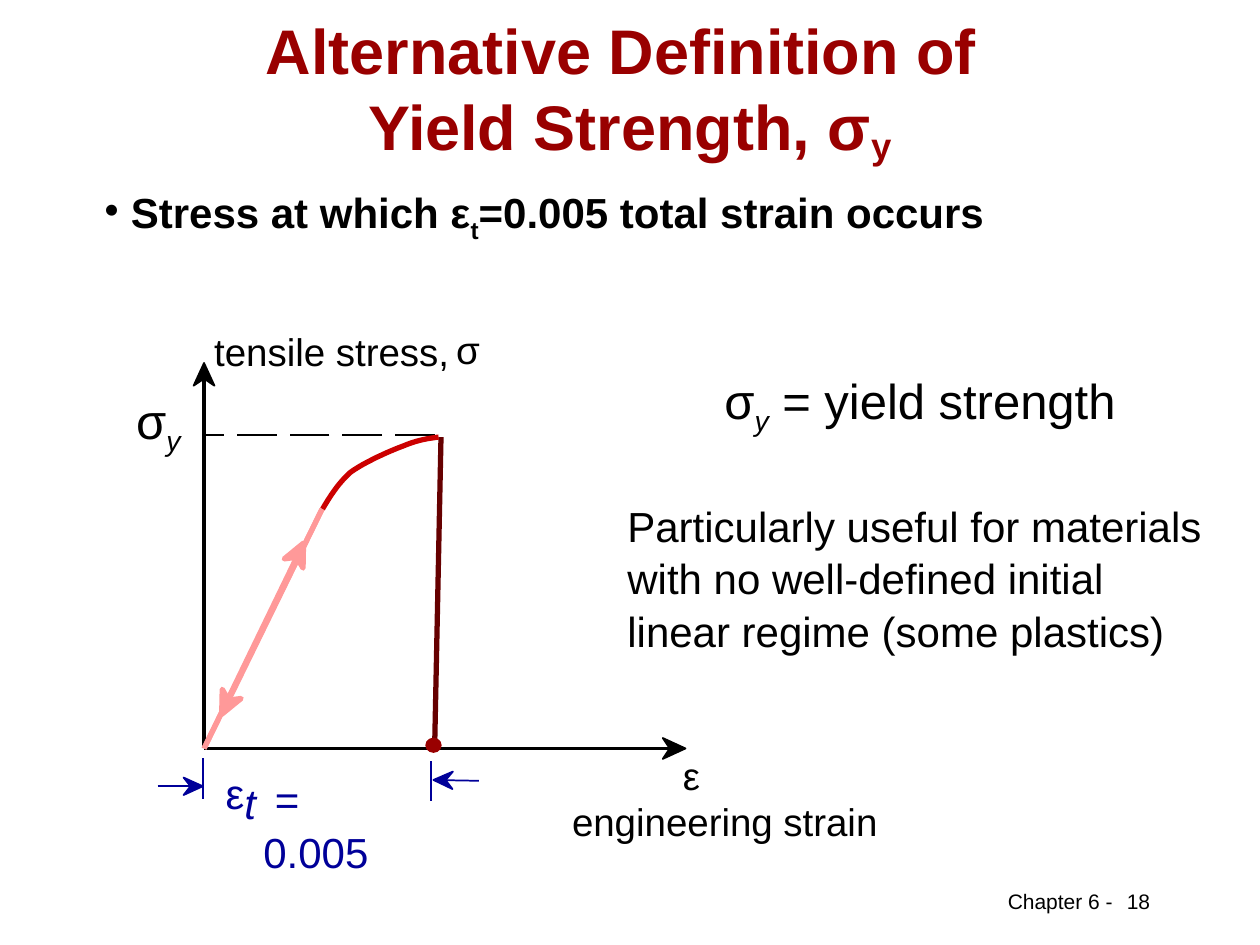
import math

from lxml import etree
from pptx import Presentation
from pptx.dml.color import RGBColor
from pptx.enum.shapes import MSO_CONNECTOR, MSO_SHAPE
from pptx.enum.text import MSO_ANCHOR, PP_ALIGN
from pptx.oxml.ns import qn
from pptx.util import Pt

STRAIGHT = MSO_CONNECTOR.STRAIGHT
OVAL = MSO_SHAPE.OVAL
MIDDLE = MSO_ANCHOR.MIDDLE
LEFT, CENTER = PP_ALIGN.LEFT, PP_ALIGN.CENTER

BLACK = RGBColor(0x00, 0x00, 0x00)
TITLE_RED = RGBColor(0x99, 0x00, 0x00)
CURVE_RED = RGBColor(0xCC, 0x00, 0x00)
DARK_RED = RGBColor(0x66, 0x00, 0x00)
PINK = RGBColor(0xFF, 0x99, 0x99)
BLUE = RGBColor(0x00, 0x00, 0x99)

FONT = "Arial"
SUB = {"baseline": "-25000"}
ITALIC_SUB = {"baseline": "-25000", "i": "1"}

# Each text: box (left, top, width, height), size, lines of (text, run attributes), options
TEXTS = [
    ((54, 30.2, 612, 41.8), 36,
     [[("Alternative Definition of ", {})],
      [("Yield Strength, σ", {}), ("y", {"baseline": "-15000"})]],
     {"color": TITLE_RED, "bold": True, "align": CENTER, "anchor": MIDDLE}),
    ((59.8, 106.6, 640, 28.8), 24,
     [[("Stress at which ε", {}), ("t", SUB), ("=0.005 total strain occurs", {})]],
     {"bold": True, "inset": False, "bullet_indent": 15}),
    ((406.8, 208.1, 275, 41), 28,
     [[("σ", {}), ("y", ITALIC_SUB), (" = yield strength", {})]], {}),
    ((351.4, 280.8, 362, 93.6), 24,
     [[("Particularly useful for materials", {})],
      [("with no well-defined initial", {})],
      [("linear regime (some plastics)", {})]], {"spacing": 1.05}),
    ((122.4, 187.2, 142, 26.6), 22, [[("tensile stress,", {})]], {"inset": False}),
    ((260.6, 186.5, 18, 26.6), 22, [[("σ", {})]], {"inset": False}),
    ((326.9, 455.8, 190, 26.6), 22, [[("engineering strain", {})]], {"inset": False}),
    ((390.2, 429.8, 18, 26.6), 22, [[("ε", {})]], {"inset": False}),
    ((77.8, 223.2, 30, 33.8), 28, [[("σ", {}), ("y", ITALIC_SUB)]], {"inset": False}),
    ((128.9, 438.5, 15, 28.8), 24, [[("ε", {})]], {"color": BLUE, "inset": False}),
    ((139.7, 444.2, 12, 28.8), 24, [[("t", {"i": "1"})]], {"color": BLUE, "inset": False}),
    ((150.5, 440.5, 87, 57.6), 24, [[(" =", {})], [("0.005", {})]],
     {"color": BLUE, "inset": False, "spacing": 1.05}),
    ((568.8, 504, 80, 21.6), 12, [[("Chapter 6 -", {})]], {}),
    ((604.1, 504, 92.9, 28.1), 12, [[("18", {})]], {"align": CENTER}),
]

# Plot geometry
ORIGIN = (116.6, 427.7)
ELASTIC_END = (184, 291)
YIELD_X, YIELD_Y = 248.4, 248.4
YIELD_DASH, YIELD_GAP = 22.7, 7.4
CURVE = [  # cubic pieces: start, two control points, end
    [(184.3, 290.9), (188.6, 283.7), (193, 276.5), (200.2, 270)],
    [(200.2, 270), (208.1, 264.2), (222.5, 257.8), (230.4, 254.9)],
    [(230.4, 254.9), (239, 251.3), (244.8, 250.6), (250.6, 249.8)],
]
LINES = [  # start, end, colour, width
    (ORIGIN, ELASTIC_END, PINK, 3),
    ((252, 249.8), (248.4, 425.5), DARK_RED, 3),
    ((115.9, 433.4), (115.9, 456.5), BLUE, 1),
    ((246.2, 434.9), (246.2, 457.9), BLUE, 1),
]
LARGE_HEAD = (13, 6, 9)  # length, half width, notch depth
SMALL_HEAD = (11, 5, 7)
ARROWS = [  # tail, tip, colour, line width, head, head outline
    (ORIGIN, (116.6, 207.4), BLACK, 2, LARGE_HEAD, 1),
    (ORIGIN, (391.7, 427.7), BLACK, 2, LARGE_HEAD, 1),
    (ORIGIN, (173.5, 310.3), PINK, 3, LARGE_HEAD, 3),
    (ELASTIC_END, (126.7, 408.2), PINK, 3, LARGE_HEAD, 3),
    ((90, 449.3), (115.9, 449.3), BLUE, 1, SMALL_HEAD, 1),
    ((273.6, 446.2), (247.7, 445.7), BLUE, 1, SMALL_HEAD, 1),
]
STRAIN_POINT = (243.4, 421.9, 8.6, 7.9)


def add_text(slide, box, size, lines, color=BLACK, bold=False, align=LEFT,
             anchor=None, inset=True, spacing=None, bullet_indent=None):
    frame = slide.shapes.add_textbox(*map(Pt, box)).text_frame
    frame.word_wrap = True
    if anchor is not None:
        frame.vertical_anchor = anchor
    if not inset:
        frame.margin_left = frame.margin_right = 0
        frame.margin_top = frame.margin_bottom = 0
    paragraph = frame.paragraphs[0]
    paragraph.alignment = align
    if spacing:
        paragraph.line_spacing = spacing
    if bullet_indent:
        properties = paragraph._p.get_or_add_pPr()
        properties.set("marL", str(Pt(bullet_indent)))
        properties.set("indent", str(-Pt(bullet_indent)))
        etree.SubElement(properties, qn("a:buChar")).set("char", "•")
    for index, line in enumerate(lines):
        if index:
            paragraph.add_line_break()
        for text, attributes in line:
            run = paragraph.add_run()
            run.text = text
            run.font.name = FONT
            run.font.size = Pt(size)
            run.font.bold = bold
            run.font.color.rgb = color
            for name, value in attributes.items():
                run.font._element.set(name, value)


def add_line(slide, start, end, color, width):
    line = slide.shapes.add_connector(STRAIGHT, *map(Pt, start + end))
    line.line.color.rgb = color
    line.line.width = Pt(width)
    etree.SubElement(line._element.spPr, qn("a:effectLst"))


def add_outline(slide, points, color, width, closed):
    """Draw a polygon, filled when closed."""
    corners = [(Pt(x), Pt(y)) for x, y in points]
    builder = slide.shapes.build_freeform(*corners[0])
    builder.add_line_segments(corners[1:], close=closed)
    shape = builder.convert_to_shape()
    shape.shadow.inherit = False
    if closed:
        shape.fill.solid()
        shape.fill.fore_color.rgb = color
    else:
        shape.fill.background()
    shape.line.color.rgb = color
    shape.line.width = Pt(width)


def add_arrow(slide, tail, tip, color, width, head, outline):
    """Draw a line ending at the notch of a barbed head."""
    length, half_width, notch = head
    angle = math.atan2(tip[1] - tail[1], tip[0] - tail[0])
    cos, sin = math.cos(angle), math.sin(angle)

    def behind_tip(back, side):
        return (tip[0] - back * cos - side * sin, tip[1] - back * sin + side * cos)

    notch_point = behind_tip(notch, 0)
    add_line(slide, tail, notch_point, color, width)
    barbs = [behind_tip(length, half_width), notch_point, behind_tip(length, -half_width)]
    add_outline(slide, [tip] + barbs, color, outline, True)


def bezier_points(pieces, steps=16):
    points = [pieces[0][0]]
    for piece in pieces:
        for step in range(1, steps + 1):
            t = step / steps
            weights = ((1 - t) ** 3, 3 * t * (1 - t) ** 2, 3 * t * t * (1 - t), t ** 3)
            points.append(tuple(sum(w * p[axis] for w, p in zip(weights, piece))
                                for axis in (0, 1)))
    return points


def main():
    presentation = Presentation()
    presentation.slide_width, presentation.slide_height = Pt(720), Pt(540)
    slide = presentation.slides.add_slide(presentation.slide_layouts[6])

    for arrow in ARROWS:
        add_arrow(slide, *arrow)
    for line in LINES:
        add_line(slide, *line)
    right = YIELD_X
    while right > ORIGIN[0]:
        left = max(right - YIELD_DASH, ORIGIN[0])
        add_line(slide, (right, YIELD_Y), (left, YIELD_Y), BLACK, 1)
        right -= YIELD_DASH + YIELD_GAP
    add_outline(slide, bezier_points(CURVE), CURVE_RED, 3, False)

    point = slide.shapes.add_shape(OVAL, *map(Pt, STRAIN_POINT))
    point.shadow.inherit = False
    point.fill.solid()
    point.fill.fore_color.rgb = TITLE_RED
    point.line.color.rgb = TITLE_RED

    for box, size, lines, options in TEXTS:
        add_text(slide, box, size, lines, **options)
    presentation.save("out.pptx")


if __name__ == "__main__":
    main()
